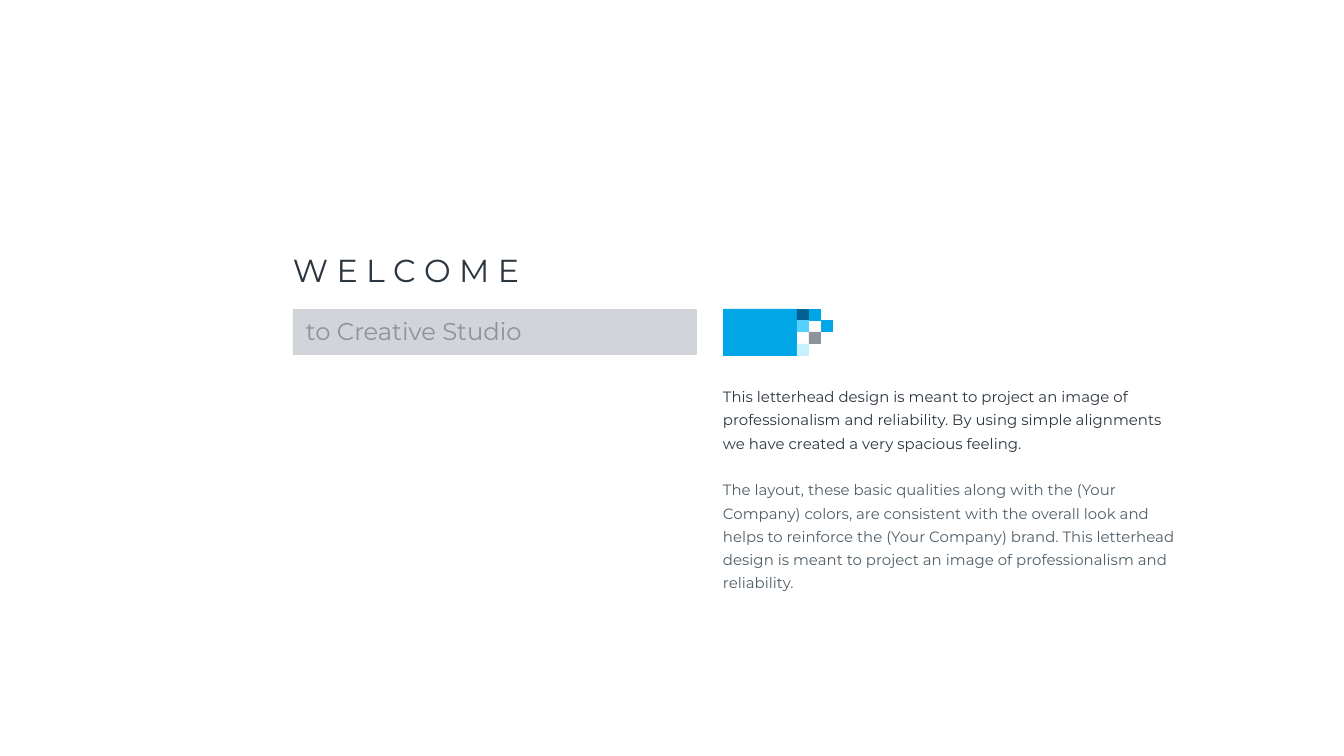
from dataclasses import dataclass

from pptx import Presentation
from pptx.dml.color import RGBColor
from pptx.enum.shapes import MSO_SHAPE
from pptx.enum.text import MSO_ANCHOR
from pptx.util import Emu, Pt

EMU_PER_PX = 9144000 / 1344


def px(length):
    return Emu(round(length * EMU_PER_PX))


@dataclass(frozen=True)
class Theme:
    font: str = "Montserrat"
    title_size: int = 17
    subtitle_size: int = 13
    body_size: int = 8
    line_spacing: float = 1.3
    paragraph_gap: float = 12.6
    ink: str = "2B353F"
    slate: str = "505E68"
    gray: str = "8C939D"
    band: str = "D1D4D8"
    blue: str = "00A6E5"
    navy: str = "006092"
    sky: str = "56D1FF"
    ice: str = "C7F0FF"


class SlideBuilder:
    def __init__(self, slide, theme):
        self.slide = slide
        self.theme = theme

    def rectangle(self, left, top, width, height, color):
        shape = self.slide.shapes.add_shape(
            MSO_SHAPE.RECTANGLE, px(left), px(top), px(width), px(height))
        shape.shadow.inherit = False
        shape.fill.solid()
        shape.fill.fore_color.rgb = RGBColor.from_string(color)
        shape.line.fill.background()

    def text(self, left, top, width, height, paragraphs, size, spacing=None, gap=0):
        """Place (text, color) paragraphs in a box without margins."""
        box = self.slide.shapes.add_textbox(px(left), px(top), px(width), px(height))
        frame = box.text_frame
        frame.word_wrap = True
        frame.vertical_anchor = MSO_ANCHOR.MIDDLE
        frame.margin_left = frame.margin_right = 0
        frame.margin_top = frame.margin_bottom = 0
        frame.text = "\n".join(text for text, _ in paragraphs)
        for index, (paragraph, (_, color)) in enumerate(zip(frame.paragraphs, paragraphs)):
            paragraph.line_spacing = spacing
            if index:
                paragraph.space_before = Pt(gap)
            font = paragraph.runs[0].font
            font.name = self.theme.font
            font.size = Pt(size)
            font.color.rgb = RGBColor.from_string(color)


def main():
    presentation = Presentation()
    presentation.slide_width, presentation.slide_height = px(1344), px(756)
    slide = presentation.slides.add_slide(presentation.slide_layouts[6])
    theme = Theme()
    builder = SlideBuilder(slide, theme)

    # Heading and subtitle band
    builder.rectangle(293, 309, 404, 46, theme.band)
    builder.text(293, 248, 367, 44, [("W E L C O M E", theme.ink)], theme.title_size)
    builder.text(306, 313, 261, 36, [("to Creative Studio", theme.gray)],
                 theme.subtitle_size)

    # Body text
    body = [
        ("This letterhead design is meant to project an image of professionalism "
         "and reliability. By using simple alignments we have created a very "
         "spacious feeling.", theme.ink),
        ("The layout, these basic qualities along with the (Your Company) colors, "
         "are consistent with the overall look and helps to reinforce the (Your "
         "Company) brand. This letterhead design is meant to project an image of "
         "professionalism and reliability.", theme.slate),
    ]
    builder.text(723, 390, 458, 194, body, theme.body_size,
                 theme.line_spacing, theme.paragraph_gap)

    # Blue block dissolving into tiles, four rows high
    block_top, block_height, tile = 309, 47, 12
    builder.rectangle(723, block_top, 74, block_height, theme.blue)
    tiles = [
        (0, 0, theme.navy), (1, 0, theme.blue),
        (0, 1, theme.sky), (2, 1, theme.blue),
        (1, 2, theme.gray), (0, 3, theme.ice),
    ]
    for column, row, color in tiles:
        builder.rectangle(797 + column * tile, block_top + row * block_height // 4,
                          tile, tile, color)

    presentation.save("out.pptx")


if __name__ == "__main__":
    main()
